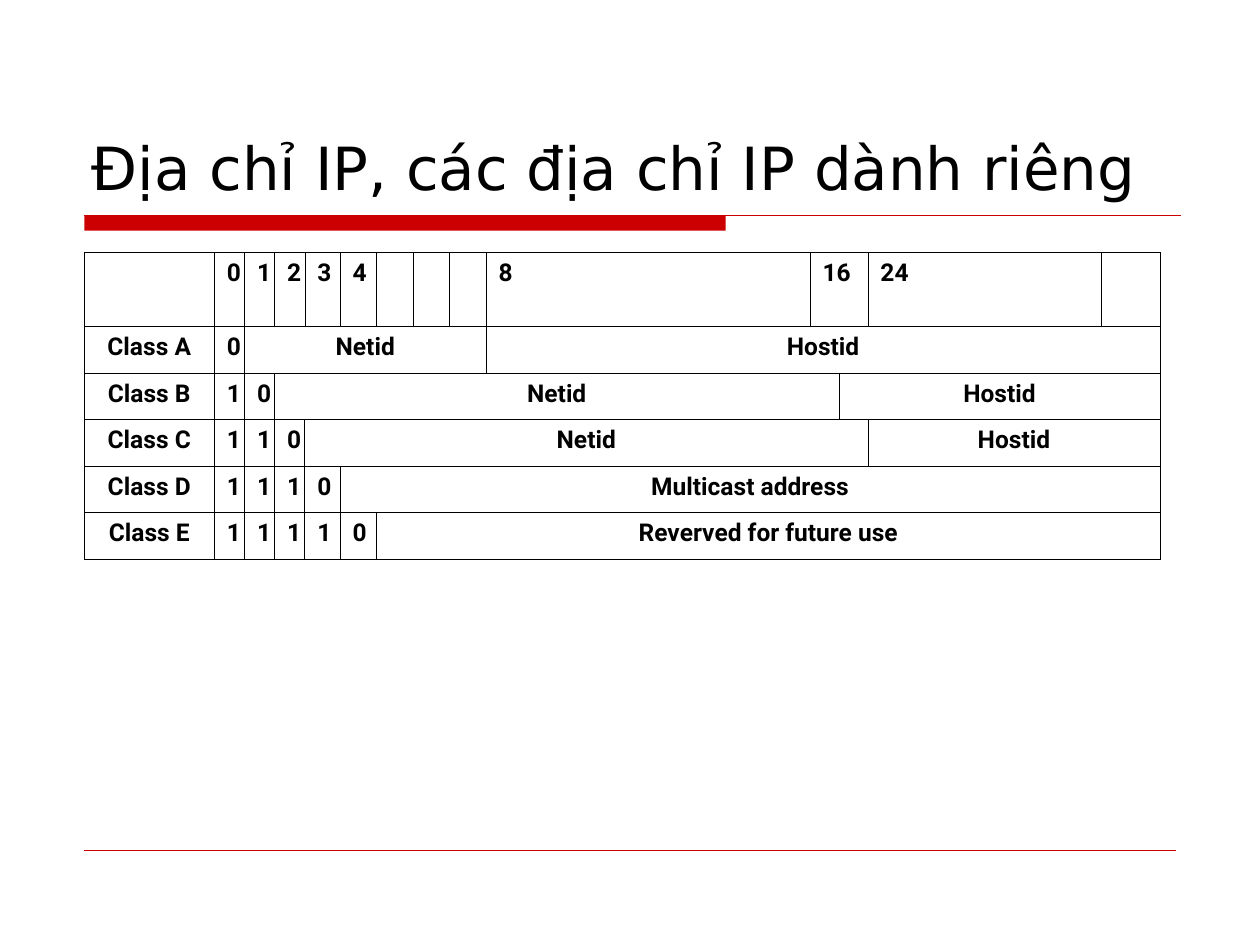
from lxml import etree
from pptx import Presentation
from pptx.dml.color import RGBColor
from pptx.enum import shapes, text
from pptx.oxml.ns import qn
from pptx.util import Inches, Pt

BLACK = RGBColor(0x00, 0x00, 0x00)
RED = RGBColor(0xCC, 0x00, 0x00)

TITLE = "Địa chỉ IP, các địa chỉ IP dành riêng"
COLUMN_WIDTHS = [1.03] + [0.24] * 3 + [0.28] + [0.29] * 4 + [2.57, 0.23, 0.23, 1.85, 0.47]
# The eight narrow bit columns end where the wide "8" column begins.
COLUMN_WIDTHS[8:9] = [0.29]
HEADER_HEIGHT, CLASS_HEIGHT = 0.59, 0.37

# Each cell is (text, columns spanned).
HEADER = [("", 1), ("0", 1), ("1", 1), ("2", 1), ("3", 1), ("4", 1), ("", 1), ("", 1), ("", 1),
          ("8", 1), ("16", 2), ("24", 1), ("", 1)]
LEFT_ALIGNED = ("8", "16", "24")
# Class letter, leading bits, fields that follow them.
CLASSES = [
    ("A", "0", [("Netid", 7), ("Hostid", 5)]),
    ("B", "10", [("Netid", 8), ("Hostid", 3)]),
    ("C", "110", [("Netid", 8), ("Hostid", 2)]),
    ("D", "1110", [("Multicast address", 9)]),
    ("E", "11110", [("Reverved for future use", 8)]),
]


def add_line(slide, left, right, y, width):
    line = slide.shapes.add_connector(shapes.MSO_CONNECTOR.STRAIGHT,
                                      Inches(left), Inches(y), Inches(right), Inches(y))
    line.line.color.rgb = RED
    line.line.width = Pt(width)
    etree.SubElement(line._element.spPr, qn("a:effectLst"))


def set_borders(cell, width):
    properties = cell._tc.get_or_add_tcPr()
    for position, side in enumerate(("a:lnL", "a:lnR", "a:lnT", "a:lnB")):
        border = etree.Element(qn(side), w=str(Pt(width)))
        fill = etree.SubElement(border, qn("a:solidFill"))
        etree.SubElement(fill, qn("a:srgbClr"), val=str(BLACK))
        properties.insert(position, border)


def fill_cell(cell, words, border_width):
    cell.fill.background()
    set_borders(cell, border_width)
    paragraph = cell.text_frame.paragraphs[0]
    paragraph.text = words
    paragraph.alignment = text.PP_ALIGN.LEFT if words in LEFT_ALIGNED else text.PP_ALIGN.CENTER
    hanging = paragraph._p.get_or_add_pPr()
    hanging.set("marL", str(Inches(0.51)))
    hanging.set("indent", str(Inches(-0.51)))
    font = paragraph.font
    font.name, font.size, font.bold = "Roboto", Pt(14), True
    font.color.rgb = BLACK


def add_title(slide):
    box = slide.shapes.add_textbox(Inches(0.63), Inches(0.33), Inches(8.75), Inches(1.33))
    frame = box.text_frame
    frame.word_wrap = True
    frame.vertical_anchor = text.MSO_ANCHOR.BOTTOM
    paragraph = frame.paragraphs[0]
    paragraph.text = TITLE
    paragraph.font.name, paragraph.font.size = "DejaVu Sans", Pt(34)
    paragraph.font.color.rgb = BLACK


def add_address_table(slide):
    rows = [HEADER] + [[("Class " + letter, 1)] + [(bit, 1) for bit in bits] + fields
                       for letter, bits, fields in CLASSES]
    heights = [HEADER_HEIGHT] + [CLASS_HEIGHT] * len(CLASSES)
    table = slide.shapes.add_table(len(rows), len(COLUMN_WIDTHS), Inches(0.67), Inches(2),
                                   Inches(sum(COLUMN_WIDTHS)), Inches(sum(heights))).table
    table.first_row = table.horz_banding = False
    for column, width in zip(table.columns, COLUMN_WIDTHS):
        column.width = Inches(width)
    for row_index, (cells, height) in enumerate(zip(rows, heights)):
        table.rows[row_index].height = Inches(height)
        column_index = 0
        for words, span in cells:
            cell = table.cell(row_index, column_index)
            if span > 1:
                cell.merge(table.cell(row_index, column_index + span - 1))
            is_label = row_index == 0 or column_index == 0
            fill_cell(cell, words, 0.34 if is_label else 0.45)
            column_index += span


def main():
    presentation = Presentation()
    presentation.slide_width, presentation.slide_height = Inches(10), Inches(7.5)
    slide = presentation.slides.add_slide(presentation.slide_layouts[6])

    bar = slide.shapes.add_shape(shapes.MSO_SHAPE.RECTANGLE,
                                 Inches(0.67), Inches(1.71), Inches(5.09), Inches(0.12))
    bar.shadow.inherit = False
    bar.fill.solid()
    bar.fill.fore_color.rgb = RED
    bar.line.fill.background()
    add_line(slide, 0.67, 9.37, 1.71, 0.75)
    add_line(slide, 0.67, 9.33, 6.75, 0.25)
    add_title(slide)
    add_address_table(slide)
    presentation.save("out.pptx")


if __name__ == "__main__":
    main()
